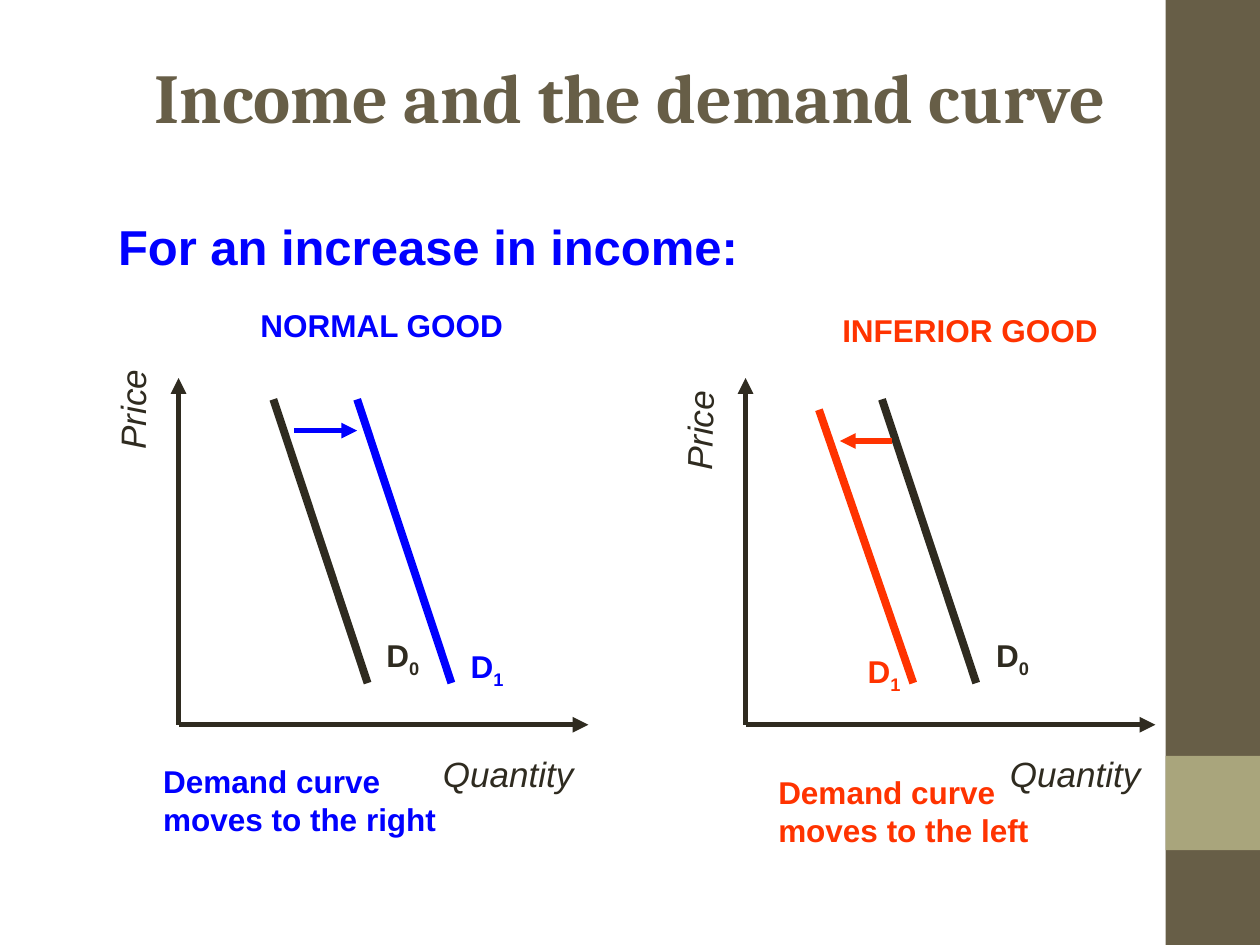
from dataclasses import dataclass

from lxml.etree import SubElement
from pptx import Presentation
from pptx.dml.color import RGBColor
from pptx.enum.shapes import MSO_CONNECTOR as Connector, MSO_SHAPE as Preset
from pptx.enum.text import MSO_ANCHOR as Anchor, MSO_AUTO_SIZE as AutoSize, PP_ALIGN as Align
from pptx.oxml.ns import qn
from pptx.util import Cm, Pt


@dataclass(frozen=True)
class Theme:
    """Colours, fonts, type sizes and line widths of the deck."""
    brown: str = "675E47"
    sand: str = "A9A57C"
    ink: str = "2F2B20"
    blue: str = "0000FF"
    red: str = "FF3300"
    serif: str = "Cambria"
    sans: str = "Arial"
    title: float = 40
    lead: float = 28
    axis: float = 20
    label: float = 18
    thin: float = 3
    thick: float = 4.5


THEME = Theme()
NORMAL = dict(
    color=THEME.blue, heading="NORMAL GOOD", heading_box=(1.4, -1.57, 5.45, 1.02),
    price=(-1.98, 0.08), angle=270.2,
    old=(1.91, 0.43, 3.81, 6.15), old_label=(3.94, 5.08),
    new=(3.6, 0.43, 5.5, 6.15), new_label=(5.64, 5.3),
    shift=(2.33, 1.06, 3.6, 1.06),
    note=("Demand curve", "moves to the right"), note_box=(-0.56, 7.62, 6.1, 1.78))
INFERIOR = dict(
    color=THEME.red, heading="INFERIOR GOOD", heading_box=(1.7, -1.47, 5.7, 1.02),
    price=(-1.98, 0.5), angle=271.4,
    old=(2.75, 0.43, 4.65, 6.15), old_label=(4.8, 5.08),
    new=(1.48, 0.64, 3.38, 6.15), new_label=(2.21, 5.4),
    shift=(2.95, 1.27, 1.9, 1.27),
    note=("Demand curve", "moves to the left"), note_box=(0.41, 7.84, 5.65, 1.78))


def style(font, color, **values):
    """Apply a colour and a dict of format values to a font."""
    font.color.rgb = RGBColor.from_string(color)
    for name, value in values.items():
        setattr(font, name, value)


def add_text(page, box, lines, color, size, subscript="", **values):
    """Place unwrapped text lines, with an optional subscript after the last."""
    shape = page.shapes.add_textbox(*map(Cm, box))
    frame = shape.text_frame
    frame.word_wrap = False
    frame.auto_size = AutoSize.SHAPE_TO_FIT_TEXT
    for index, line in enumerate(lines):
        para = frame.add_paragraph() if index else frame.paragraphs[0]
        spans = [para.add_run()]
        spans[0].text = line
        if subscript and line == lines[-1]:
            spans.append(para.add_run())
            spans[1].text = subscript
            spans[1]._r.get_or_add_rPr().set("baseline", "-25000")
        for span in spans:
            style(span.font, color, name=THEME.sans, size=Pt(size), **values)
    return shape


def add_line(page, ends, color, width, arrow=False):
    """Draw a straight line, with an arrowhead at its end if asked."""
    line = page.shapes.add_connector(Connector.STRAIGHT, *map(Cm, ends))
    line.line.color.rgb = RGBColor.from_string(color)
    line.line.width = Pt(width)
    if arrow:
        SubElement(line.line._get_or_add_ln(), qn("a:tailEnd"), type="triangle")
    SubElement(line._element.spPr, qn("a:effectLst"))


def add_side_bar(page, left, top, width, height):
    """Fill the side band and its lighter square."""
    square = (left, top + 0.8 * height, width, width)
    for box, color in (((left, top, width, height), THEME.brown), (square, THEME.sand)):
        band = page.shapes.add_shape(Preset.RECTANGLE, *map(Cm, box))
        band.shadow.inherit = False
        band.fill.solid()
        band.fill.fore_color.rgb = RGBColor.from_string(color)
        band.line.fill.background()


def add_title(page, left, top, width, height):
    """Move and format the title placeholder."""
    title = page.shapes.title
    box = dict(left=left, top=top, width=width, height=height)
    for name, value in box.items():
        setattr(title, name, Cm(value))
    title.text_frame.text = "Income and the demand curve"
    title.text_frame.vertical_anchor = Anchor.TOP
    para = title.text_frame.paragraphs[0]
    para.alignment = Align.CENTER
    style(para.runs[0].font, THEME.brown, name=THEME.serif, size=Pt(THEME.title), bold=True)


def add_diagram(page, left, top, width, height, good):
    """Draw the axes, both demand curves and the labels of one good."""
    def place(x, y, *size):
        return left + x, top + y, *size

    def span_line(x1, y1, x2, y2):
        return place(x1, y1) + place(x2, y2)

    color = good["color"]
    for tip in ((width, height), (0, 0)):
        add_line(page, span_line(0, height, *tip), THEME.ink, THEME.thin, arrow=True)
    price = add_text(page, place(*good["price"], 2.11, 1.12), ["Price"],
                     THEME.ink, THEME.axis, italic=True)
    price.rotation = good["angle"]
    add_text(page, place(5.08, 7.42, 3.25, 1.12), ["Quantity"],
             THEME.ink, THEME.axis, italic=True)
    for curve, index, shade in (("old", "0", THEME.ink), ("new", "1", color)):
        add_line(page, span_line(*good[curve]), shade, THEME.thick)
        add_text(page, place(*good[curve + "_label"], 1.17, 1.12), ["D"],
                 shade, THEME.label, subscript=index, bold=True)
    add_line(page, span_line(*good["shift"]), color, THEME.thin, arrow=True)
    for box, lines in (("heading_box", [good["heading"]]), ("note_box", good["note"])):
        add_text(page, place(*good[box]), lines, color, THEME.label, bold=True)


def main():
    """Build and save the slide."""
    deck = Presentation()
    deck.slide_width, deck.slide_height = Cm(25.4), Cm(19.05)
    page = deck.slides.add_slide(deck.slide_layouts[5])
    add_side_bar(page, 23.5, 0, 1.9, 19.05)
    add_title(page, 1.9, 0.95, 21.6, 3.07)
    add_text(page, (2.13, 4.24, 13, 1.45), ["For an increase in income:"],
             THEME.blue, THEME.lead, bold=True)
    for index, good in enumerate((NORMAL, INFERIOR)):
        add_diagram(page, 3.6 + 11.43 * index, 7.62, 8.26, 6.99, good)
    deck.save("out.pptx")


if __name__ == "__main__":
    main()
